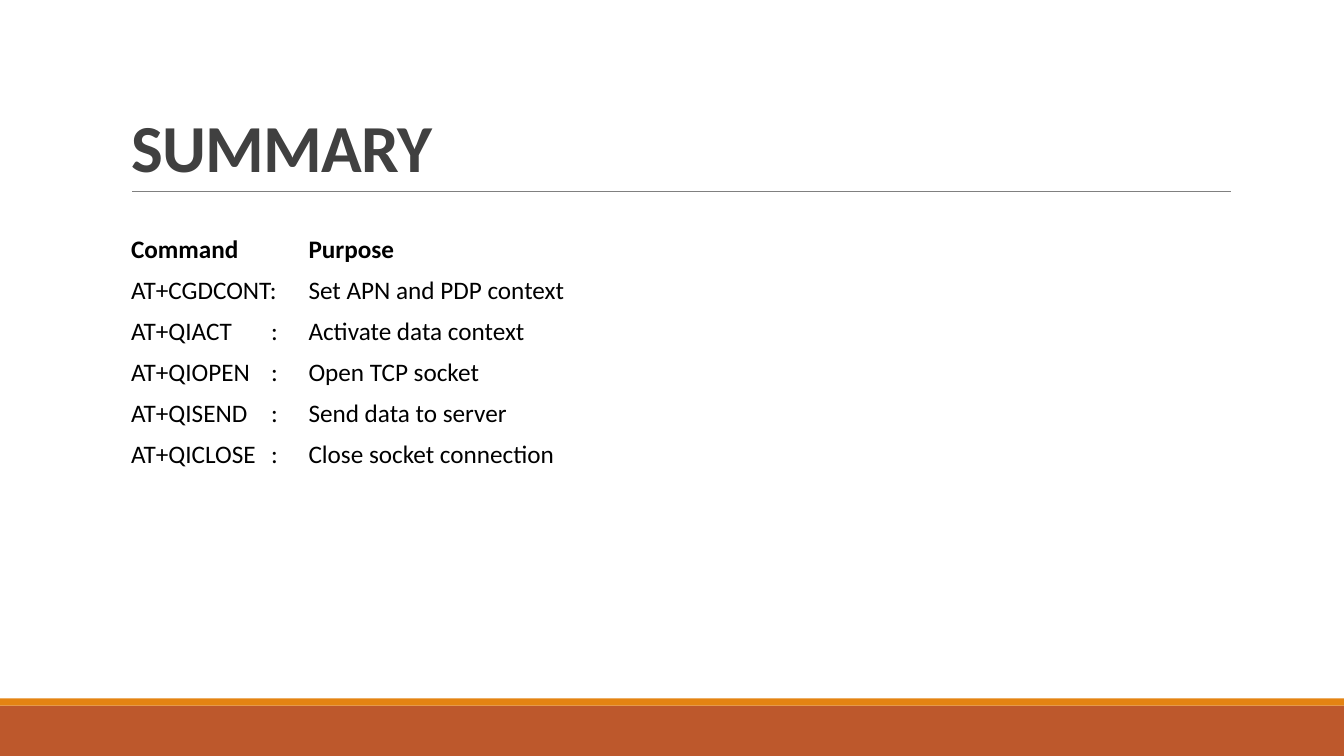
import lxml.etree
import pptx
import pptx.dml.color
import pptx.enum.shapes
import pptx.enum.text
import pptx.oxml.ns
import pptx.util
from pptx.util import Inches

COLORS = {
    "band": "BD582C",
    "stripe": "E48312",
    "rule": "808080",
    "title": "404040",
    "text": "000000",
}
FONT = "Calibri"
COMMANDS = [
    ("Command", "Purpose"),
    ("AT+CGDCONT:", "Set APN and PDP context"),
    ("AT+QIACT\t:", "Activate data context"),
    ("AT+QIOPEN\t:", "Open TCP socket"),
    ("AT+QISEND\t:", "Send data to server"),
    ("AT+QICLOSE\t:", "Close socket connection"),
]


def color(name):
    return pptx.dml.color.RGBColor.from_string(COLORS[name])


def add_span(para, text, size, color_name, bold):
    span = para.add_run()
    span.text = text
    span.font.name = FONT
    span.font.size = pptx.util.Pt(size)
    span.font.bold = bold
    span.font.color.rgb = color(color_name)
    return span


deck = pptx.Presentation()
deck.slide_width = Inches(13.33)
deck.slide_height = Inches(7.5)
page = deck.slides.add_slide(deck.slide_layouts[5])

# Footer bands
for name, top, height in [("band", 7, 0.5), ("stripe", 6.93, 0.07)]:
    bar = page.shapes.add_shape(
        pptx.enum.shapes.MSO_SHAPE.RECTANGLE,
        0, Inches(top), deck.slide_width, Inches(height))
    bar.shadow.inherit = False
    bar.fill.solid()
    bar.fill.fore_color.rgb = color(name)
    bar.line.fill.background()

# Rule under the title
rule = page.shapes.add_connector(
    pptx.enum.shapes.MSO_CONNECTOR.STRAIGHT,
    Inches(1.31), Inches(1.9), Inches(12.21), Inches(1.9))
rule.line.color.rgb = color("rule")
rule.line.width = pptx.util.Pt(0.5)
lxml.etree.SubElement(rule._element.spPr, pptx.oxml.ns.qn("a:effectLst"))

# Title
title = page.shapes.title
title.left, title.top = Inches(1.2), Inches(0.31)
title.width, title.height = Inches(11), Inches(1.59)
frame = title.text_frame
frame.word_wrap = True
frame.auto_size = pptx.enum.text.MSO_AUTO_SIZE.NONE
frame.vertical_anchor = pptx.enum.text.MSO_ANCHOR.BOTTOM
para = frame.paragraphs[0]
para.alignment = pptx.enum.text.PP_ALIGN.LEFT
para.line_spacing = 0.85
span = add_span(para, "SUMMARY", 48, "title", True)
span._r.get_or_add_rPr().set("spc", "-50")

# Command table
table = page.shapes.add_table(
    len(COMMANDS), 2, Inches(1.2), Inches(2.28), Inches(11), Inches(2.4)).table
table.first_row = False
table.horz_banding = False
for column, width in zip(table.columns, (1.76, 9.24)):
    column.width = Inches(width)

for row, texts in enumerate(COMMANDS):
    for column, text in enumerate(texts):
        cell = table.cell(row, column)
        cell.fill.background()
        cell.vertical_anchor = pptx.enum.text.MSO_ANCHOR.MIDDLE
        para = cell.text_frame.paragraphs[0]
        add_span(para, text, 18, "text", row == 0)
        # Tab stop that lines up the colons
        if "\t" in text:
            stops = lxml.etree.SubElement(
                para._p.get_or_add_pPr(), pptx.oxml.ns.qn("a:tabLst"))
            lxml.etree.SubElement(
                stops, pptx.oxml.ns.qn("a:tab"),
                pos=str(Inches(1.39)), algn="l")

deck.save("out.pptx")
